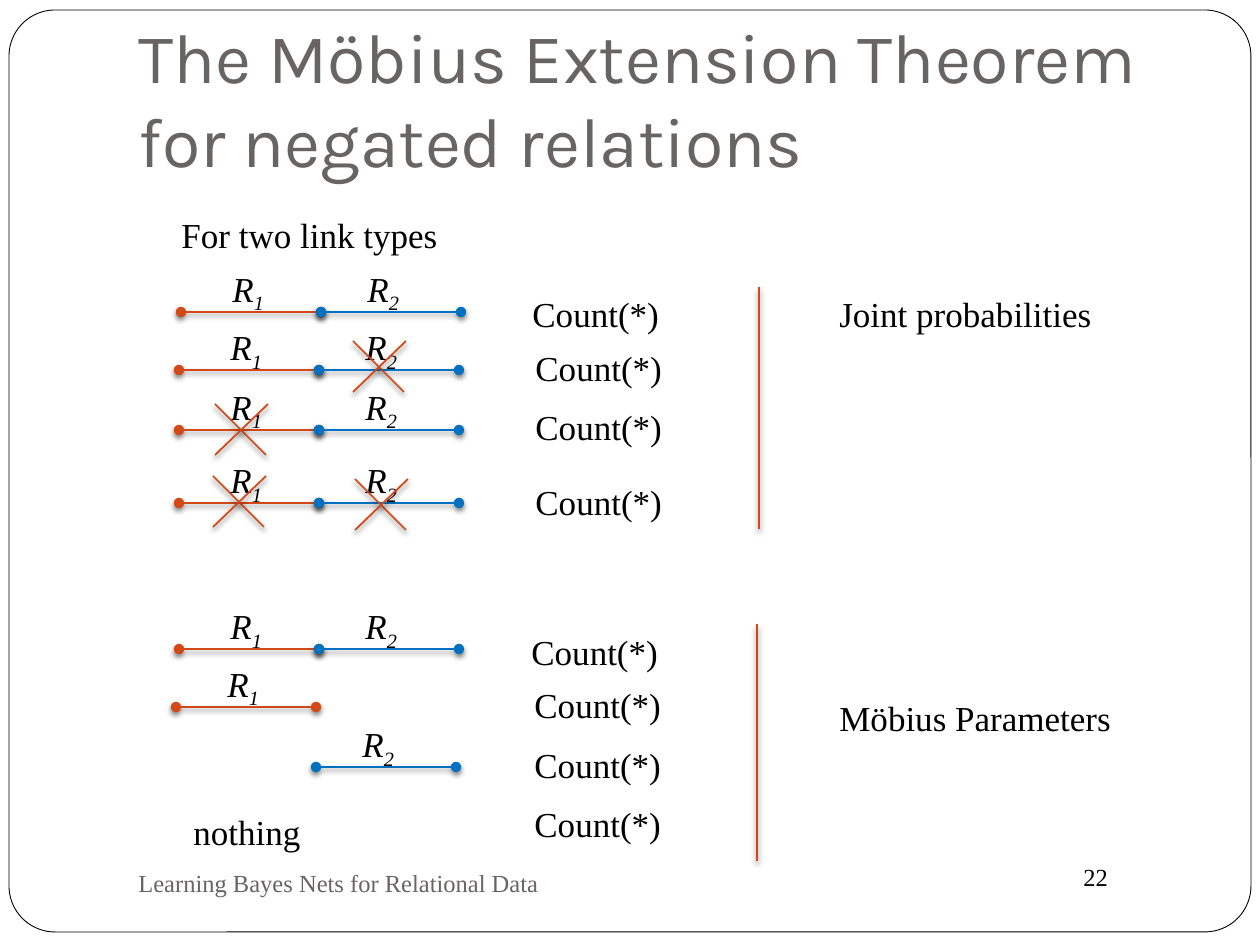
from lxml.etree import SubElement
from pptx import Presentation
from pptx.dml.color import RGBColor
from pptx.enum.shapes import MSO_CONNECTOR as Line, MSO_SHAPE as Preset
from pptx.enum.text import MSO_ANCHOR as Anchor, MSO_AUTO_SIZE as AutoSize, PP_ALIGN as Align
from pptx.oxml import parse_xml
from pptx.oxml.ns import nsdecls, qn
from pptx.util import Emu, Pt

BLACK = RGBColor(0, 0, 0)
WHITE = RGBColor(255, 255, 255)
GRAY = RGBColor(0x69, 0x64, 0x64)
ORANGE = RGBColor(0xD3, 0x48, 0x17)
BLUE = RGBColor(0x00, 0x70, 0xC0)
SERIF = "Times New Roman"

TITLE = "The Möbius Extension Theorem for negated relations"
FOOTER = "Learning Bayes Nets for Relational Data"
PAGE = "22"
COUNT = "Count(*)"
NOTES = [
    ("For two link types", 169, 207, 396),
    ("nothing", 181, 804, 309),
    ("Joint probabilities", 827, 286, 339),
    ("Möbius Parameters", 827, 690, 339),
]
RELATIONS = {"1": (0, ORANGE), "2": (1, BLUE)}
CHAINS = [
    (181, 312, "12"),
    (179, 370, "12"),
    (179, 430, "12"),
    (179, 503, "12"),
    (179, 649, "12"),
    (176, 707, "1"),
    (176, 767, "2"),
]
COUNTS = [(520, 286), (523, 340), (523, 399), (523, 474),
          (519, 624), (522, 677), (522, 737), (522, 796)]
NEGATIONS = [(353, 341), (215, 404), (355, 479), (213, 476)]
DIVIDERS = [(759, 287, 529), (757, 624, 861)]

LINK = 140
LABEL_DX, LABEL_STEP, LABEL_RISE, LABEL_W = 39, 135, 51, 60
TEXT_H = 55
CROSS = 51
SHADOW = (
    f'<a:effectLst {nsdecls("a")}><a:outerShdw blurRad="38100" dist="25400" '
    'dir="5400000" rotWithShape="0"><a:srgbClr val="000000"><a:alpha val="50000"/>'
    "</a:srgbClr></a:outerShdw></a:effectLst>"
)


def px(*lengths):
    return [Emu(round(length * 914400 / 126)) for length in lengths]


def style(font, size, color, name=SERIF):
    font.size, font.name = Pt(size), name
    font.color.rgb = color


def add_text(slide, text, x, y, w, h=TEXT_H, size=20, color=BLACK, wrap=True):
    frame = slide.shapes.add_textbox(*px(x, y, w, h)).text_frame
    frame.word_wrap = wrap
    paragraph = frame.paragraphs[0]
    paragraph.add_run().text = text
    style(paragraph.font, size, color)
    return frame


def add_line(slide, x1, y1, x2, y2, color=ORANGE, dots=False):
    line = slide.shapes.add_connector(Line.STRAIGHT, *px(x1, y1, x2, y2))
    line.line.color.rgb = color
    line.line.width = Pt(1)
    properties = line._element.spPr
    if dots:
        for end in ("a:headEnd", "a:tailEnd"):
            SubElement(properties.find(qn("a:ln")), qn(end), type="oval")
    properties.append(parse_xml(SHADOW))


def add_relation(slide, x, y, index):
    place, color = RELATIONS[index]
    start = x + place * LINK
    add_line(slide, start, y, start + LINK, y, color, dots=True)
    label_x = x + LABEL_DX + place * LABEL_STEP
    label = add_text(slide, "R", label_x, y - LABEL_RISE, LABEL_W, wrap=False)
    paragraph = label.paragraphs[0]
    paragraph.font.italic = True
    subscript = paragraph.add_run()
    subscript.text = index
    subscript._r.get_or_add_rPr().set("baseline", "-25000")


def add_border(slide):
    border = slide.shapes.add_shape(Preset.ROUNDED_RECTANGLE, *px(9, 10, 1242, 922))
    border.adjustments[0] = 0.05
    border.fill.solid()
    border.fill.fore_color.rgb = WHITE
    border.line.color.rgb = BLACK
    border.line.width = Pt(0.5)
    border.shadow.inherit = False
    slide.shapes._spTree.insert(2, border._element)


def add_title(slide):
    title = slide.shapes.title
    title.left, title.top, title.width, title.height = px(126, 38, 1071, 157)
    frame = title.text_frame
    frame.text = TITLE
    frame.auto_size = AutoSize.NONE
    frame.vertical_anchor = Anchor.BOTTOM
    frame.margin_bottom, = px(13)
    paragraph = frame.paragraphs[0]
    paragraph.alignment = Align.LEFT
    style(paragraph.font, 40, GRAY, "Karla")


def main():
    deck = Presentation()
    deck.slide_width, deck.slide_height = px(1260, 945)
    slide = deck.slides.add_slide(deck.slide_layouts[5])
    add_border(slide)
    add_title(slide)
    add_text(slide, PAGE, 1071, 856, 126, 43, size=14)
    footer = add_text(slide, FOOTER, 126, 851, 546, 63, size=14, color=GRAY)
    footer.vertical_anchor = Anchor.MIDDLE

    for x, y, indexes in CHAINS:
        for index in indexes:
            add_relation(slide, x, y, index)
    for x, y in COUNTS:
        add_text(slide, COUNT, x, y, 238)
    for x, y in NEGATIONS:
        add_line(slide, x, y, x + CROSS, y + CROSS)
        add_line(slide, x, y + CROSS, x + CROSS + 2, y)
    for note in NOTES:
        add_text(slide, *note)
    for x, top, bottom in DIVIDERS:
        add_line(slide, x, top, x, bottom)

    deck.save("out.pptx")


if __name__ == "__main__":
    main()
